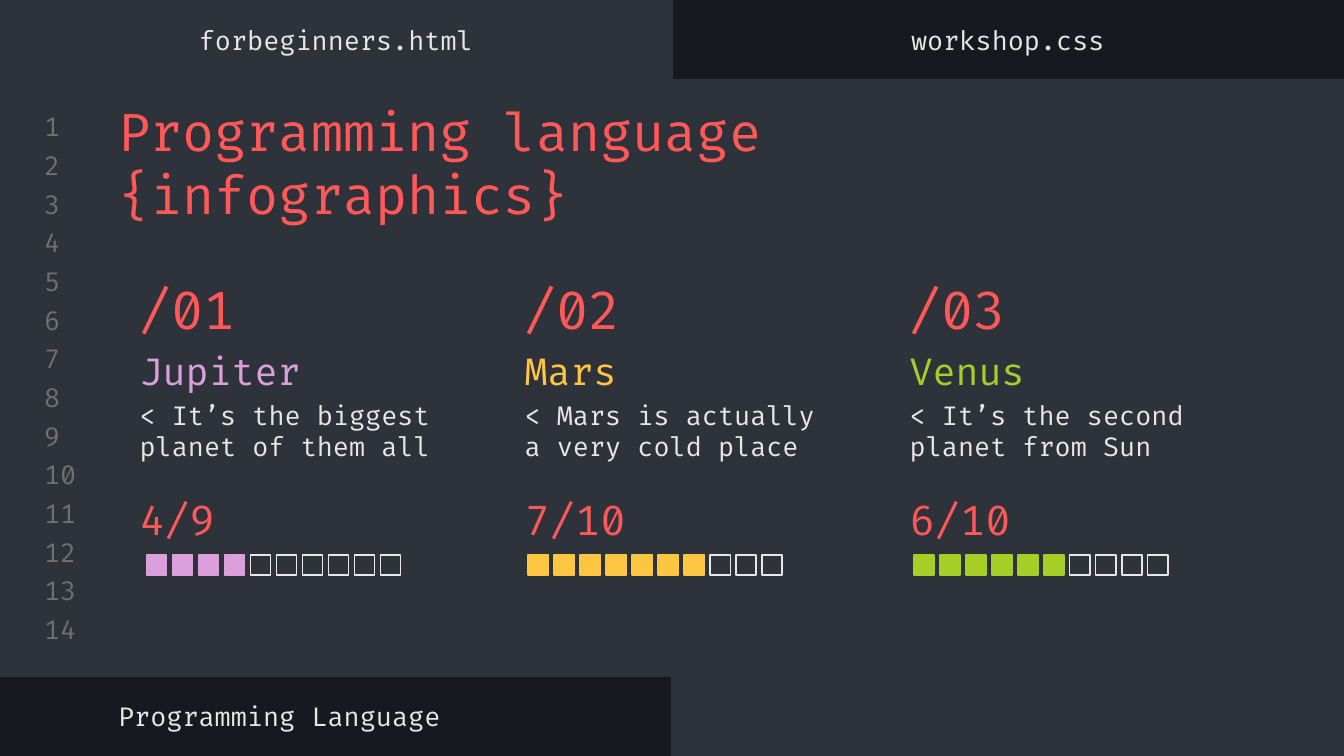
"""Build a slide with planet infographics styled as a code editor."""
from dataclasses import dataclass

from pptx import Presentation
from pptx.dml.color import RGBColor
from pptx.enum.shapes import MSO_SHAPE
from pptx.enum.text import MSO_ANCHOR, MSO_AUTO_SIZE, PP_ALIGN
from pptx.slide import Slide
from pptx.text.text import TextFrame
from pptx.util import Inches, Pt

RECTANGLE = MSO_SHAPE.RECTANGLE
TOP, MIDDLE = MSO_ANCHOR.TOP, MSO_ANCHOR.MIDDLE
LEFT, CENTER = PP_ALIGN.LEFT, PP_ALIGN.CENTER
NO_AUTOFIT = MSO_AUTO_SIZE.NONE

Box = tuple[float, float, float, float]


@dataclass(frozen=True)
class Theme:
    font: str = "Fira Code"
    background: str = "16191F"
    panel: str = "2E323B"
    line_number: str = "707070"
    accent: str = "FF5858"
    text: str = "E7E7E7"
    pink: str = "DBA0DB"
    yellow: str = "FCC642"
    green: str = "A5CF27"
    title_size: int = 28
    score_size: int = 22
    name_size: int = 20
    body_size: int = 14
    outline: float = 0.75


@dataclass(frozen=True)
class Planet:
    number: str
    name: str
    fact: str
    score: str
    filled: int
    color: str
    bar_left: float


THEME = Theme()
PLANETS = (
    Planet("/01", "Jupiter", "< It’s the biggest planet of them all", "4/9", 4, THEME.pink, 1.09),
    Planet("/02", "Mars", "< Mars is actually a very cold place", "7/10", 7, THEME.yellow, 3.93),
    Planet("/03", "Venus", "< It’s the second planet from Sun", "6/10", 6, THEME.green, 6.8),
)
PANELS: tuple[Box, ...] = ((0, 0, 5, 0.65), (5, 4.98, 5, 0.64), (0, 0.59, 10, 4.44))
LINE_COUNT = 14
FIRST_LINE_TOP, LAST_LINE_TOP = 0.82, 4.56
FIRST_COLUMN, LAST_COLUMN = 0.94, 6.67
SQUARE_COUNT = 10
SQUARE_SIZE = 0.15
SQUARE_SPAN = 1.74


def write_text(
    frame: TextFrame,
    text: str,
    *,
    size: int = THEME.body_size,
    color: str = THEME.text,
    align: PP_ALIGN = LEFT,
    anchor: MSO_ANCHOR = MIDDLE,
) -> None:
    frame.word_wrap = True
    frame.auto_size = NO_AUTOFIT
    frame.vertical_anchor = anchor
    frame.margin_left = frame.margin_right = Inches(0.1)
    frame.margin_top = frame.margin_bottom = Inches(0.1)
    paragraph = frame.paragraphs[0]
    paragraph.alignment = align
    run = paragraph.add_run()
    run.text = text
    run.font.name = THEME.font
    run.font.size = Pt(size)
    run.font.color.rgb = RGBColor.from_string(color)


def add_text(slide: Slide, box: Box, text: str, **text_format) -> None:
    shape = slide.shapes.add_textbox(*map(Inches, box))
    write_text(shape.text_frame, text, **text_format)


def add_rectangle(slide: Slide, box: Box, line: str, fill: str | None = None) -> None:
    shape = slide.shapes.add_shape(RECTANGLE, *map(Inches, box))
    shape.shadow.inherit = False
    if fill:
        shape.fill.solid()
        shape.fill.fore_color.rgb = RGBColor.from_string(fill)
    else:
        shape.fill.background()
    shape.line.color.rgb = RGBColor.from_string(line)
    shape.line.width = Pt(THEME.outline)


def add_editor(slide: Slide) -> None:
    fill = slide.background.fill
    fill.solid()
    fill.fore_color.rgb = RGBColor.from_string(THEME.background)
    for box in PANELS:
        add_rectangle(slide, box, THEME.panel, THEME.panel)
    step = (LAST_LINE_TOP - FIRST_LINE_TOP) / (LINE_COUNT - 1)
    for index in range(LINE_COUNT):
        box = (0.23, FIRST_LINE_TOP + index * step, 0.47, 0.24)
        add_text(slide, box, str(index + 1), color=THEME.line_number)
    add_text(slide, (0, 0.1, 5, 0.39), "forbeginners.html", align=CENTER)
    add_text(slide, (5, 0.1, 5, 0.39), "workshop.css", align=CENTER)
    add_text(slide, (0.78, 5.13, 5.32, 0.39), "Programming Language")


def add_title(slide: Slide, text: str) -> None:
    title = slide.shapes.title
    title.left, title.top = Inches(0.78), Inches(0.64)
    title.width, title.height = Inches(8.44), Inches(0.63)
    write_text(title.text_frame, text, size=THEME.title_size, color=THEME.accent, anchor=TOP)
    title.element.getparent().append(title.element)


def add_progress(slide: Slide, planet: Planet) -> None:
    step = SQUARE_SPAN / (SQUARE_COUNT - 1)
    for index in range(SQUARE_COUNT):
        box = (planet.bar_left + index * step, 4.13, SQUARE_SIZE, SQUARE_SIZE)
        if index < planet.filled:
            add_rectangle(slide, box, planet.color, planet.color)
        else:
            add_rectangle(slide, box, THEME.text)


def add_planet(slide: Slide, planet: Planet, left: float) -> None:
    add_text(slide, (left, 1.96, 0.93, 0.53), planet.number,
             size=THEME.title_size, color=THEME.accent, anchor=TOP)
    add_text(slide, (left, 2.59, 2.38, 0.33), planet.name,
             size=THEME.name_size, color=planet.color)
    add_text(slide, (left, 2.87, 2.38, 0.64), planet.fact, anchor=TOP)
    add_text(slide, (left, 3.69, 1.16, 0.34), planet.score,
             size=THEME.score_size, color=THEME.accent)
    add_progress(slide, planet)


def main() -> None:
    presentation = Presentation()
    presentation.slide_width = Inches(10)
    presentation.slide_height = presentation.slide_width * 9 // 16
    slide = presentation.slides.add_slide(presentation.slide_layouts[5])
    add_editor(slide)
    add_title(slide, "Programming language {infographics}")
    column_step = (LAST_COLUMN - FIRST_COLUMN) / (len(PLANETS) - 1)
    for index, planet in enumerate(PLANETS):
        add_planet(slide, planet, FIRST_COLUMN + index * column_step)
    presentation.save("out.pptx")


if __name__ == "__main__":
    main()
